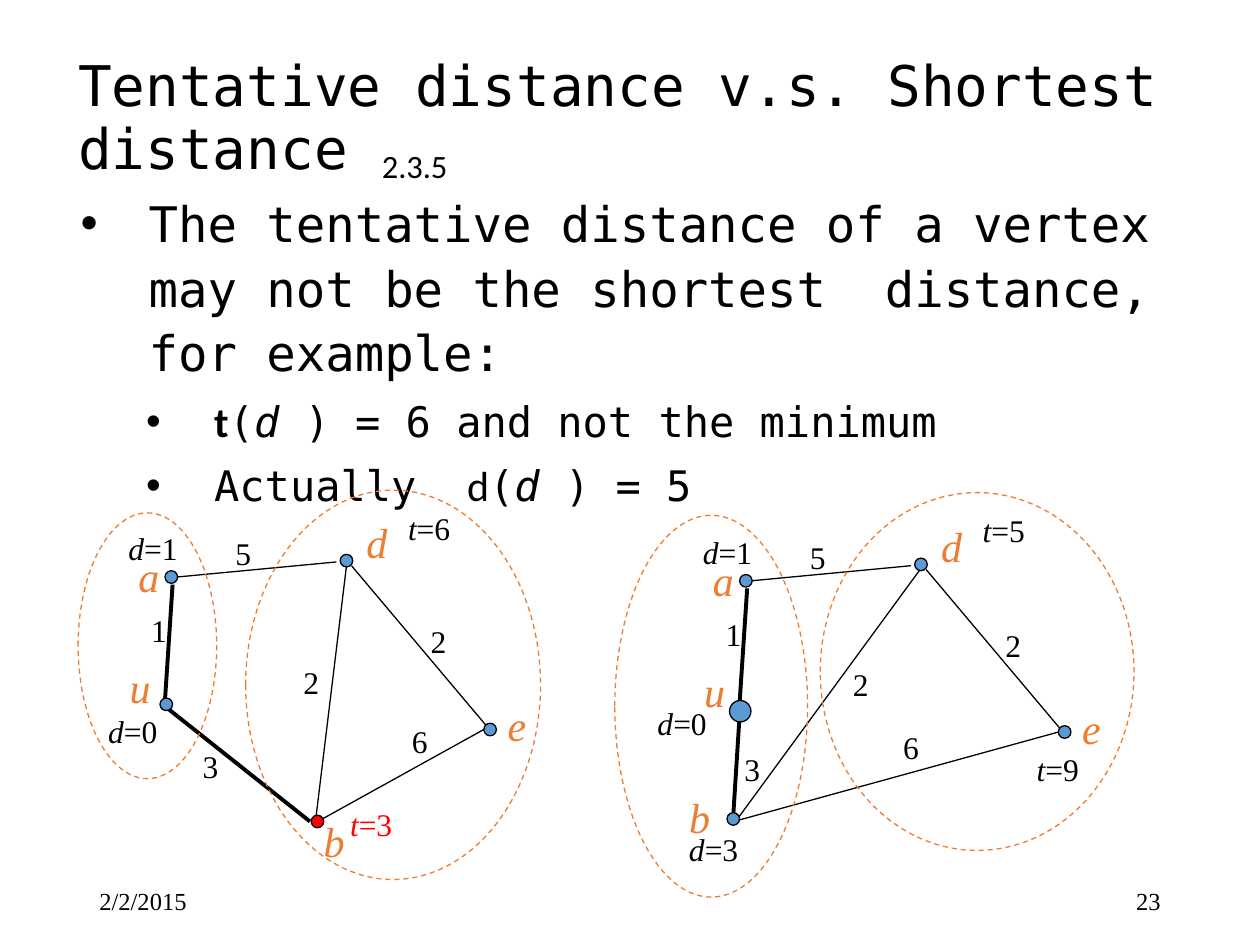
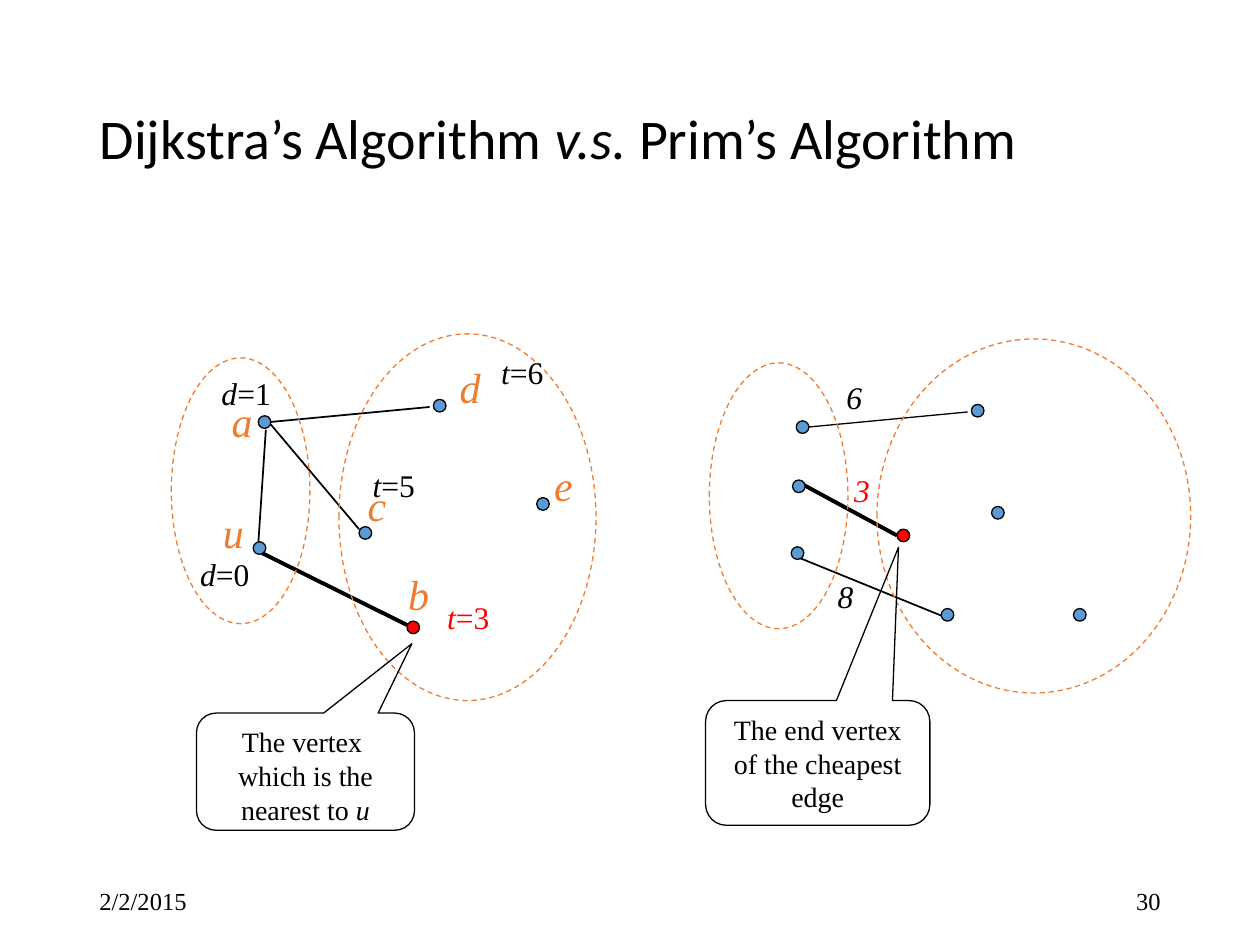
from pptx import Presentation
from pptx.dml.color import RGBColor
from pptx.enum.dml import MSO_LINE
from pptx.enum.shapes import MSO_CONNECTOR, MSO_SHAPE
from pptx.enum.text import MSO_ANCHOR, MSO_AUTO_SIZE, PP_ALIGN
from pptx.oxml.ns import qn
from pptx.util import Inches, Pt
from lxml.etree import SubElement

HUES = {"ink": "000000", "node": "5B9BD5", "hot": "FF0000", "set": "ED7D31"}
MONO, SANS, SERIF = "DejaVu Sans Mono", "Calibri", "Times New Roman"
WIDE, TALL = 10, 7.5
DATE = "2/2/2015"
THIN, MID, BOLD = 0.75, 1, 2.25
DOT = 0.1

# Runs are (text, font, style); style: b bold, i italic, s lowered
BODY = [
    (0, [("The tentative distance of a vertex may not be the shortest  distance, "
          "for example:", MONO, "")]),
    (1, [("t", SANS, "b"), ("(", MONO, ""), ("d ", MONO, "i"),
         (") = 6 and not the minimum", MONO, "")]),
    (1, [("Actually  ", MONO, ""), ("d", SANS, ""), ("(", MONO, ""),
         ("d ", MONO, "i"), (") = 5", MONO, "")]),
]
LEVELS = [dict(size=28, left=0.54, gap=10), dict(size=24, left=1.06, gap=5)]

# Every graph is measured from the corner of its vertex a
A, D = (0, 0), (1.39, -0.13)
LINK_AD = (0.09, 0.05, 1.36, -0.07)
LINK_UA = (0, 1.02, 0.06, 0.11)
LINK_DE = (1.48, -0.04, 2.55, 1.23)
NAMES = [("u", -0.38, 0.67), ("a", -0.31, -0.21), ("d", 1.5, -0.48)]
NEAR = (-0.69, -0.46, 1.1, 2.11)
COSTS = [("1", -0.21, 0.27), ("5", 0.46, -0.34), ("2", 2.01, 0.36)]
MARK_A = ("d=1", -0.39, -0.38)

BEFORE = dict(
    at=(1.31, 4.53),
    dots=[A, D, (2.53, 1.21), (-0.04, 1.01)], hot=(1.16, 1.94),
    links=[(BOLD, LINK_UA), (BOLD, (0.03, 1.1, 1.15, 1.99)), (THIN, LINK_AD),
           (THIN, (1.2, 1.94, 1.44, -0.04)), (THIN, LINK_DE),
           (THIN, (1.23, 1.98, 2.53, 1.26))],
    names=NAMES + [("e", 2.62, 0.97), ("b", 1.16, 1.89)],
    costs=COSTS + [("6", 1.86, 1.15), ("2", 1, 0.68), ("3", 0.2, 1.35)],
    sets=[NEAR, (0.64, -0.64, 2.34, 3.09)],
    marks=[MARK_A, ("d=0", -0.55, 1.07), ("t=6", 1.83, -0.54)],
    alert=("t=3", 1.37, 1.81),
)
AFTER = dict(
    at=(5.87, 4.56),
    dots=[A, D, (2.53, 1.2), (-0.1, 1.89)], big=(-0.08, 1),
    links=[(BOLD, LINK_UA), (BOLD, (0, 1.12, -0.05, 1.91)), (THIN, LINK_AD),
           (THIN, (-0.01, 1.93, 1.44, -0.05)), (THIN, LINK_DE),
           (THIN, (-0.01, 1.95, 2.53, 1.25))],
    names=NAMES + [("e", 2.62, 0.97), ("b", -0.5, 1.67)],
    costs=COSTS + [("6", 1.2, 1.17), ("2", 0.8, 0.67), ("3", -0.06, 1.34)],
    sets=[(-0.99, -0.47, 1.53, 3.03), (0.64, -0.65, 2.49, 2.84)],
    marks=[MARK_A, ("d=0", -0.75, 0.98), ("t=5", 1.83, -0.55),
           ("d=3", -0.5, 1.98), ("t=9", 2.26, 1.34)],
)
DIJKSTRA = dict(
    at=(2.05, 3.3),
    dots=[A, D, (2.21, 0.65), (0.8, 0.88), (-0.04, 1)], hot=(1.18, 1.63),
    links=[(MID, LINK_UA), (BOLD, (0.03, 1.09, 1.18, 1.66)), (MID, LINK_AD),
           (MID, (0.1, 0.07, 0.8, 0.9))],
    names=NAMES + [("e", 2.25, 0.3), ("c", 0.77, 0.46), ("b", 1.09, 1.16)],
    sets=[NEAR, (0.64, -0.65, 2.04, 2.91)],
    marks=[MARK_A, ("d=0", -0.56, 1.06), ("t=6", 1.83, -0.55), ("t=5", 0.81, 0.35)],
    alert=("t=3", 1.4, 1.4),
    note=dict(box=(-0.49, 2.36, 1.73, 0.93), tip=(0.488, -1.092, 0.167),
              runs=[("The vertex  which is the nearest to ", SERIF, ""),
                    ("u", SERIF, "i")]),
)
PRIM = dict(
    at=(6.32, 3.34),
    dots=[A, D, (1.55, 0.68), (1.15, 1.49), (-0.04, 1), (-0.03, 0.47), (2.2, 1.49)],
    hot=(0.8, 0.86),
    links=[(MID, (0.03, 1.09, 1.16, 1.55)), (THIN, LINK_AD),
           (BOLD, (0.06, 0.51, 0.8, 0.91))],
    sets=[NEAR, (0.64, -0.65, 2.49, 2.81)],
    marks=[("8", 0.23, 1.19), ("6", 0.3, -0.39)],
    alert=("3", 0.36, 0.35),
    note=dict(box=(-0.72, 2.22, 1.78, 0.99), tip=(0.36, -1.728, 0.167),
              runs=[("The end vertex of the cheapest edge", SERIF, "")]),
)
SLIDES = [
    dict(title=[("Tentative distance v.s. Shortest distance ", MONO, ""),
                ("2.3.5", SANS, "s")],
         box=(0.52, 0.48, 9.07, 0.95), body=BODY, page="23", graphs=[BEFORE, AFTER]),
    dict(title=[("Dijkstra’s Algorithm ", SANS, ""), ("v.s.", SANS, "i"),
                (" Prim’s Algorithm", SANS, "")],
         box=(0.69, 0.4, 8.62, 1.45), body=[], page="30", graphs=[DIJKSTRA, PRIM]),
]


def hue(key):
    return RGBColor.from_string(HUES[key])


def place(shape, box):
    shape.left, shape.top, shape.width, shape.height = map(Inches, box)


def write(para, runs, size, key="ink"):
    for text, face, style in runs:
        run = para.add_run()
        run.text = text
        font = run.font
        font.name, font.size = face, Pt(size)
        font.bold, font.italic = "b" in style, "i" in style
        font.color.rgb = hue(key)
        if "s" in style:
            run._r.get_or_add_rPr().set("baseline", "-16000")


def label(slide, box, runs, size, key="ink", side=PP_ALIGN.LEFT, anchor=MSO_ANCHOR.TOP):
    frame = slide.shapes.add_textbox(*map(Inches, box)).text_frame
    frame.word_wrap = True
    frame.vertical_anchor = anchor
    frame.paragraphs[0].alignment = side
    write(frame.paragraphs[0], runs, size, key)


def outline(slide, kind, box, key="ink", fill=None):
    shape = slide.shapes.add_shape(kind, *map(Inches, box))
    shape.shadow.inherit = False
    if fill:
        shape.fill.solid()
        shape.fill.fore_color.rgb = hue(fill)
    else:
        shape.fill.background()
    shape.line.color.rgb = hue(key)
    shape.line.width = Pt(THIN)
    return shape


def link(slide, ends, width):
    line = slide.shapes.add_connector(MSO_CONNECTOR.STRAIGHT, *map(Inches, ends))
    line.line.color.rgb = hue("ink")
    line.line.width = Pt(width)
    SubElement(line._element.spPr, qn("a:effectLst"))


def graph(slide, at, dots, links, sets, marks, names=(), costs=(),
          hot=None, big=None, alert=None, note=None):
    left, top = at

    def move(x, y, *size):
        return (left + x, top + y, *size)

    # Edges, then vertices
    for width, (x, y, u, v) in links:
        link(slide, move(x, y) + move(u, v), width)
    spots = [(dot, DOT, "node") for dot in dots]
    spots += [(hot, DOT, "hot")] if hot else []
    spots += [(big, 0.17, "node")] if big else []
    for dot, size, fill in spots:
        outline(slide, MSO_SHAPE.OVAL, move(*dot, size, size), fill=fill)

    # Dashed vertex sets
    for box in sets:
        ring = outline(slide, MSO_SHAPE.OVAL, move(*box), "set")
        ring.line.dash_style = MSO_LINE.DASH

    # Vertex names, edge costs and distances
    for text, x, y in names:
        label(slide, move(x, y, 0.39, 0.5), [(text, SERIF, "i")], 24, "set")
    for text, x, y in costs:
        label(slide, move(x, y, 0.39, 0.4), [(text, SERIF, "")], 18)
    tags = [(mark, "ink") for mark in marks] + ([(alert, "hot")] if alert else [])
    for (text, x, y), key in tags:
        runs = [(text[0], SERIF, "i")]
        if text[1:]:
            runs.append((text[1:], SERIF, ""))
        label(slide, move(x, y, 0.74, 0.4), runs, 18, key)

    # Callout
    if note:
        shape = outline(slide, MSO_SHAPE.ROUNDED_RECTANGULAR_CALLOUT, move(*note["box"]))
        for spot, value in enumerate(note["tip"]):
            shape.adjustments[spot] = value
        frame = shape.text_frame
        frame.word_wrap = True
        frame.vertical_anchor = MSO_ANCHOR.TOP
        frame.paragraphs[0].alignment = PP_ALIGN.CENTER
        write(frame.paragraphs[0], note["runs"], 16)


def head(slide, runs, box):
    title = slide.shapes.title
    place(title, box)
    frame = title.text_frame
    frame.auto_size = MSO_AUTO_SIZE.NONE
    frame.vertical_anchor = MSO_ANCHOR.MIDDLE
    para = frame.paragraphs[0]
    para.alignment, para.line_spacing = PP_ALIGN.LEFT, 0.9
    write(para, runs, 32)


def bullets(slide, items):
    holder = slide.placeholders[1]
    place(holder, (0.54, 1.44, 9.11, 2.16))
    frame = holder.text_frame
    frame.auto_size = MSO_AUTO_SIZE.NONE
    for spot, (level, runs) in enumerate(items):
        para = frame.add_paragraph() if spot else frame.paragraphs[0]
        look = LEVELS[level]
        para.level, para.line_spacing = level, 1.1
        para.space_before = Pt(look["gap"])
        props = para._p.get_or_add_pPr()
        props.set("marL", str(Inches(look["left"])))
        props.set("indent", str(-Inches(0.54)))
        SubElement(props, qn("a:buFont")).set("typeface", "Arial")
        SubElement(props, qn("a:buChar")).set("char", "•")
        write(para, runs, look["size"])


def footer(slide, page):
    edge, width = 0.69, 2.25
    feet = [(edge, DATE, PP_ALIGN.LEFT),
            (WIDE - edge - width, page, PP_ALIGN.RIGHT)]
    for left, text, side in feet:
        label(slide, (left, 6.95, width, 0.4), [(text, SERIF, "")], 14,
              side=side, anchor=MSO_ANCHOR.MIDDLE)


def main():
    deck = Presentation()
    deck.slide_width, deck.slide_height = Inches(WIDE), Inches(TALL)
    for data in SLIDES:
        # Title and content where there are bullets, else title only
        slide = deck.slides.add_slide(deck.slide_layouts[1 if data["body"] else 5])
        head(slide, data["title"], data["box"])
        if data["body"]:
            bullets(slide, data["body"])
        footer(slide, data["page"])
        for parts in data["graphs"]:
            graph(slide, **parts)
    deck.save("out.pptx")


if __name__ == "__main__":
    main()
